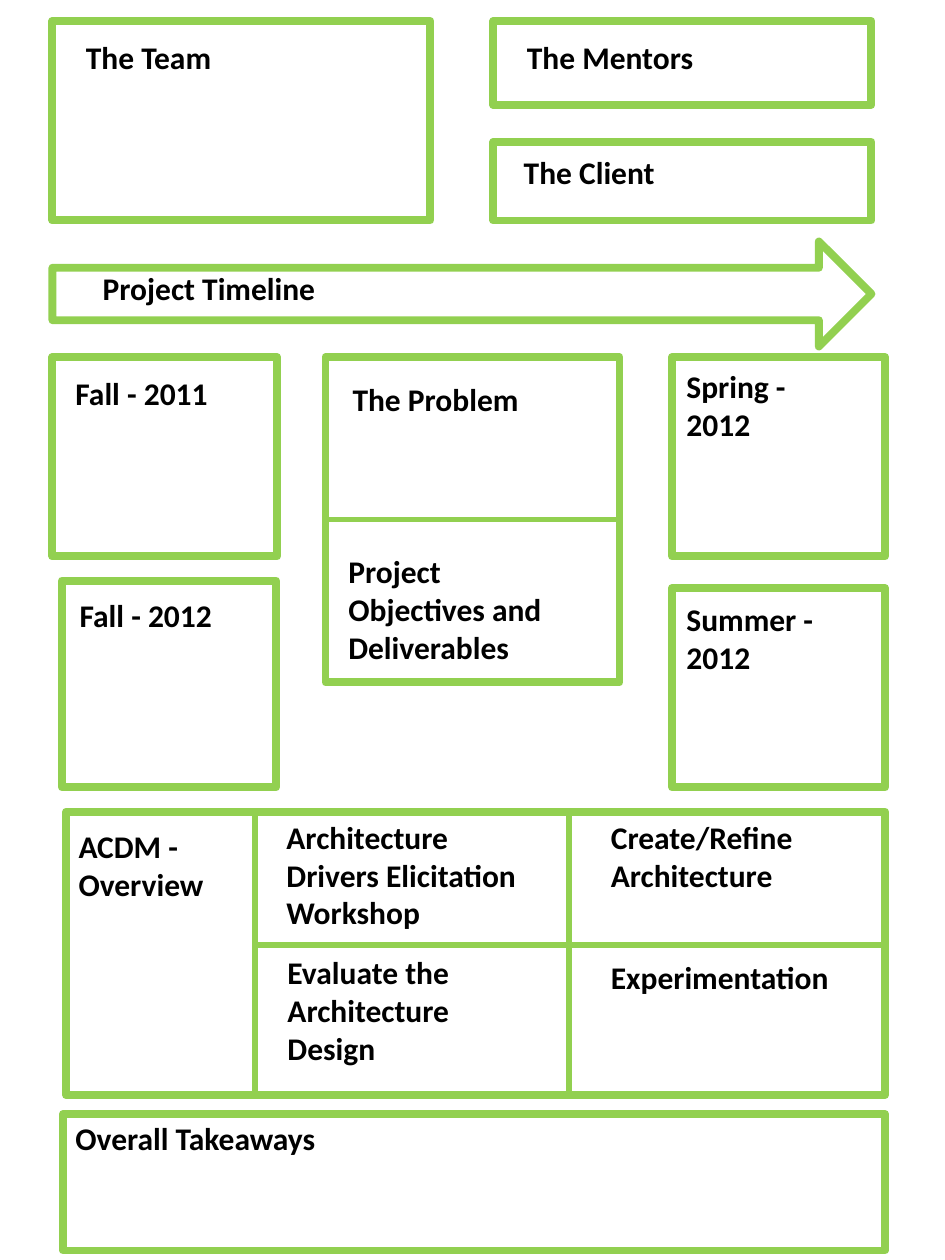
from collections import namedtuple

from lxml.etree import SubElement
from pptx import Presentation
from pptx.dml.color import RGBColor
from pptx.enum.shapes import MSO_CONNECTOR, MSO_SHAPE
from pptx.enum.text import MSO_AUTO_SIZE
from pptx.oxml.ns import qn
from pptx.util import Inches, Pt

COLORS = {"green": "92D050", "white": "FFFFFF", "black": "000000"}
FONT = "Calibri"
COLUMNS, ROWS = 90, 120  # grid cells across and down the slide
CELL = Inches(7.5) / COLUMNS

Box = namedtuple("Box", "left top width height")


def cells(*counts):
    return [round(count * CELL) for count in counts]


def color(name):
    return RGBColor.from_string(COLORS[name])


def add_frame(slide, box, preset=MSO_SHAPE.RECTANGLE, fill=None):
    frame = slide.shapes.add_shape(preset, *cells(*box))
    frame.shadow.inherit = False
    if fill:
        frame.fill.solid()
        frame.fill.fore_color.rgb = color(fill)
    else:
        frame.fill.background()
    frame.line.color.rgb = color("green")
    frame.line.width = Pt(4.5)
    return frame


def add_heading(slide, box, words, dx, dy, width, height=5):
    """Place a heading dx, dy cells inside the box."""
    heading = slide.shapes.add_textbox(
        *cells(box.left + dx, box.top + dy, width, height))
    text = heading.text_frame
    text.word_wrap = True
    text.auto_size = MSO_AUTO_SIZE.SHAPE_TO_FIT_TEXT
    run = text.paragraphs[0].add_run()
    run.text = words
    run.font.name = FONT
    run.font.size = Pt(18)
    run.font.bold = True
    run.font.color.rgb = color("black")


def add_divider(slide, box, start, end):
    """Draw a line between two points given in cells inside the box."""
    divider = slide.shapes.add_connector(MSO_CONNECTOR.STRAIGHT, *cells(
        box.left + start[0], box.top + start[1],
        box.left + end[0], box.top + end[1]))
    divider.line.color.rgb = color("green")
    divider.line.width = Pt(3)
    SubElement(divider._element.spPr, qn("a:effectLst"))
    return divider


def add_panel(slide, box, words, dx, dy, width, height=5):
    add_frame(slide, box)
    add_heading(slide, box, words, dx, dy, width, height)


def add_people(slide, box):
    column = 36
    right = box.left + box.width - column
    add_panel(slide, Box(box.left, box.top, column, box.height),
              "The Team", 2, 1, 26)
    add_panel(slide, Box(right, box.top, column, 8), "The Mentors", 2, 1, 26)
    add_panel(slide, Box(right, box.top + 11.5, column, 7.5),
              "The Client", 1.7, 0.5, 26)


def add_timeline(slide, box):
    add_frame(slide, box, MSO_SHAPE.RIGHT_ARROW, "white")
    add_heading(slide, box, "Project Timeline", 3.6, 2, 26)


def add_problem(slide, box):
    frame = add_frame(slide, box)
    middle = box.height / 2
    divider = add_divider(slide, box, (box.width, middle), (0, middle))
    divider.begin_connect(frame, 3)
    divider.end_connect(frame, 1)
    add_heading(slide, box, "The Problem", 1.4, 1.6, 24.5, 4)
    add_heading(slide, box, "Project Objectives and Deliverables",
                1, 18, 24, 12)


def add_semesters(slide, box):
    bottom = box.top + box.height
    right = box.left + box.width - 20.3
    add_panel(slide, Box(box.left, box.top, 21.4, 19),
              "Fall - 2011", 1, 1, 19.3)
    add_panel(slide, Box(right, box.top, 20.3, 19),
              "Spring - 2012", 0.2, 0.4, 18.5, 8.5)
    add_panel(slide, Box(box.left + 0.9, bottom - 19.7, 20.4, 19.7),
              "Fall - 2012", 0.5, 0.9, 18.6)
    add_panel(slide, Box(right, bottom - 19, 20.3, 19),
              "Summer - 2012", 0.2, 0.6, 18.5, 8.5)


def add_acdm(slide, box):
    add_frame(slide, box)
    first, second, middle = 18, 47.9, 12.7
    for x in (first, second):
        add_divider(slide, box, (x, 0), (x, box.height))
    add_divider(slide, box, (box.width, middle), (first, middle))
    add_heading(slide, box, "ACDM - Overview", 0, 0.9, 16.3, 8.5)
    steps = [
        ("Architecture Drivers Elicitation Workshop", first + 1.8, 0, 12),
        ("Create/Refine Architecture", second + 2.8, 0, 8.5),
        ("Evaluate the Architecture Design", first + 1.9, middle + 0.2, 12),
        ("Experimentation", second + 2.8, middle + 0.7, 5),
    ]
    for words, dx, dy, height in steps:
        add_heading(slide, box, words, dx, dy, 25.2, height)


def add_takeaways(slide, box):
    add_panel(slide, box, "Overall Takeaways", 0, -0.1, 28.7)


def main():
    deck = Presentation()
    deck.slide_width, deck.slide_height = cells(COLUMNS, ROWS)
    slide = deck.slides.add_slide(deck.slide_layouts[6])

    add_people(slide, Box(5, 2, 78, 19))
    add_timeline(slide, Box(5, 23, 78, 10))
    add_problem(slide, Box(31, 34, 28, 31))
    add_semesters(slide, Box(5, 34, 79.3, 41))
    add_acdm(slide, Box(6.3, 77.3, 78, 27))
    add_takeaways(slide, Box(6, 106.1, 78.3, 13))

    deck.save("out.pptx")


if __name__ == "__main__":
    main()
